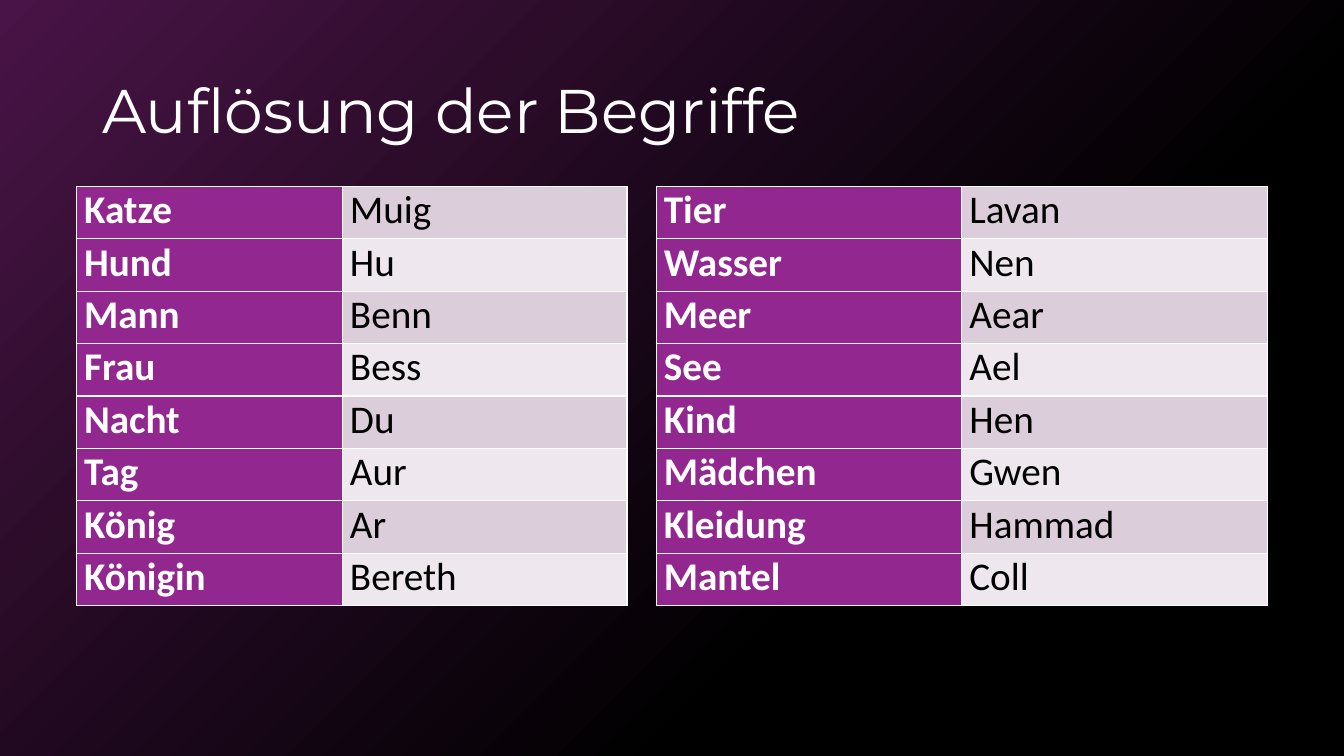
from dataclasses import dataclass

from lxml.etree import SubElement
from pptx import Presentation
from pptx.dml.color import RGBColor
from pptx.enum.text import MSO_ANCHOR
from pptx.oxml.ns import qn
from pptx.util import Cm, Pt


@dataclass(frozen=True)
class Theme:
    purple: str = "92278F"
    deep_purple: str = "491447"
    black: str = "000000"
    white: str = "FFFFFF"
    bands: tuple = ("DCCDDB", "EEE8EE")
    title_font: str = "Montserrat"
    table_font: str = "Calibri"
    title_size: int = 44
    table_size: int = 28
    border_width: int = 1


class SlideBuilder:
    def __init__(self, page, theme):
        self.page = page
        self.theme = theme

    def background(self):
        fill = self.page.background.fill
        fill.gradient()
        fill.gradient_angle = 315
        stops = ((0, self.theme.deep_purple), (0.68, self.theme.black))
        for stop, (position, color) in zip(fill.gradient_stops, stops):
            stop.position = position
            stop.color.rgb = RGBColor.from_string(color)

    def add_text(self, para, text, font, size, color, bold=False):
        span = para.add_run()
        span.text = text
        span.font.name = font
        span.font.size = Pt(size)
        span.font.bold = bold
        span.font.color.rgb = RGBColor.from_string(color)

    def title(self, text, left, top, width, height):
        box = self.page.shapes.add_textbox(Cm(left), Cm(top), Cm(width), Cm(height))
        frame = box.text_frame
        frame.word_wrap = True
        frame.vertical_anchor = MSO_ANCHOR.MIDDLE
        para = frame.paragraphs[0]
        para.line_spacing = 0.9
        self.add_text(para, text, self.theme.title_font, self.theme.title_size, self.theme.white)

    def borders(self, cell):
        properties = cell._tc.get_or_add_tcPr()
        for side in ("a:lnL", "a:lnR", "a:lnT", "a:lnB"):
            line = SubElement(properties, qn(side), w=str(Pt(self.theme.border_width)))
            fill = SubElement(line, qn("a:solidFill"))
            SubElement(fill, qn("a:srgbClr"), val=self.theme.white)

    def cell(self, cell, text, fill, color, bold):
        cell.margin_left = cell.margin_right = Cm(0.19)
        cell.margin_top = cell.margin_bottom = 0
        self.borders(cell)
        cell.fill.solid()
        cell.fill.fore_color.rgb = RGBColor.from_string(fill)
        para = cell.text_frame.paragraphs[0]
        self.add_text(para, text, self.theme.table_font, self.theme.table_size, color, bold)

    def glossary(self, entries, left, top, widths, row_height):
        theme = self.theme
        table = self.page.shapes.add_table(
            len(entries), len(widths), Cm(left), Cm(top),
            Cm(sum(widths)), Cm(row_height * len(entries)),
        ).table
        table.first_row = table.horz_banding = False
        table.first_col = True
        for column, width in zip(table.columns, widths):
            column.width = Cm(width)
        for index, (term, meaning) in enumerate(entries):
            table.rows[index].height = Cm(row_height)
            band = theme.bands[index % len(theme.bands)]
            self.cell(table.cell(index, 0), term, theme.purple, theme.white, True)
            self.cell(table.cell(index, 1), meaning, band, theme.black, False)


PEOPLE_AND_TIME = [
    ("Katze", "Muig"),
    ("Hund", "Hu"),
    ("Mann", "Benn"),
    ("Frau", "Bess"),
    ("Nacht", "Du"),
    ("Tag", "Aur"),
    ("König", "Ar"),
    ("Königin", "Bereth"),
]
NATURE_AND_CLOTHING = [
    ("Tier", "Lavan"),
    ("Wasser", "Nen"),
    ("Meer", "Aear"),
    ("See", "Ael"),
    ("Kind", "Hen"),
    ("Mädchen", "Gwen"),
    ("Kleidung", "Hammad"),
    ("Mantel", "Coll"),
]
TABLE_TOP = 4.7
ROW_HEIGHT = 1.32


def main():
    deck = Presentation()
    deck.slide_width = Cm(33.87)
    deck.slide_height = Cm(19.05)
    page = deck.slides.add_slide(deck.slide_layouts[6])
    builder = SlideBuilder(page, Theme())
    builder.background()
    builder.title("Auflösung der Begriffe", 2.33, 1.01, 29.21, 3.68)
    builder.glossary(PEOPLE_AND_TIME, 1.93, TABLE_TOP, (6.7, 7.17), ROW_HEIGHT)
    builder.glossary(NATURE_AND_CLOTHING, 16.54, TABLE_TOP, (7.7, 7.7), ROW_HEIGHT)
    deck.save("out.pptx")


if __name__ == "__main__":
    main()
